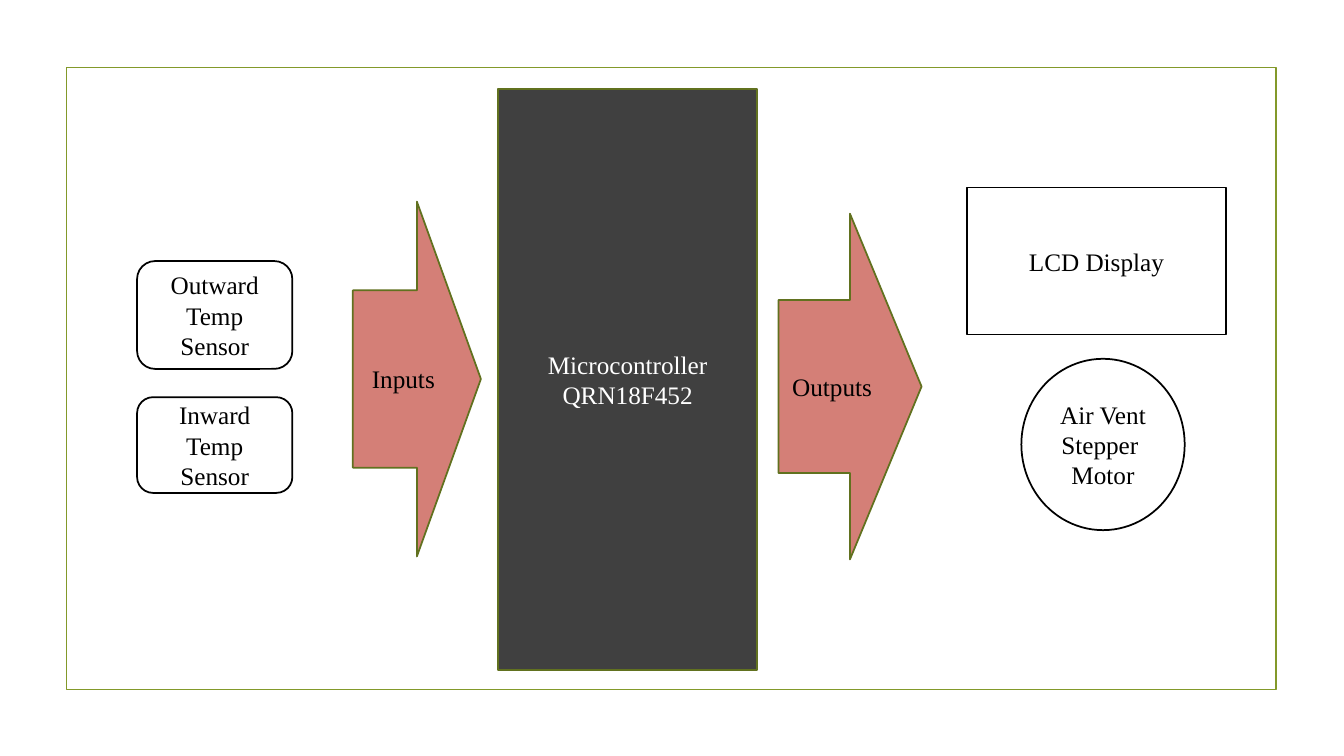
import pptx
import pptx.util
import pptx.dml.color
import pptx.enum.shapes
import pptx.enum.text

Inches = pptx.util.Inches
KIND = pptx.enum.shapes.MSO_SHAPE
ALIGN = pptx.enum.text.PP_ALIGN
MID = pptx.enum.text.MSO_ANCHOR.MIDDLE

COLORS = {"white": "FFFFFF", "black": "000000", "frame": "83992A",
          "edge": "61711F", "chip": "404040", "arrow": "D47F77"}
FONT, SIZE, LINE = "Times New Roman", 18, 1.25

# Looks: fill, line, text colour
LOOKS = {
    "frame": (None, "frame", "black"),
    "chip": ("chip", "edge", "white"),
    "part": ("white", "black", "black"),
    "flow": ("arrow", "edge", "black"),
}

# Blocks from back to front: shape, look, (left, top, width, height), text
BLOCKS = [
    (KIND.RECTANGLE, "frame", (0.66, 0.67, 12, 6.17), ""),
    (KIND.RECTANGLE, "chip", (4.94, 0.88, 2.57, 5.77),
     "Microcontroller\nQRN18F452"),
    (KIND.FLOWCHART_CONNECTOR, "part", (10.13, 3.56, 1.62, 1.7),
     "Air Vent Stepper \nMotor"),
    (KIND.ROUNDED_RECTANGLE, "part", (1.36, 2.59, 1.54, 1.07),
     "Outward Temp Sensor"),
    (KIND.ROUNDED_RECTANGLE, "part", (1.36, 3.94, 1.54, 0.95),
     "Inward Temp Sensor"),
    (KIND.RECTANGLE, "part", (9.59, 1.86, 2.57, 1.46), "LCD Display"),
    (KIND.RIGHT_ARROW, "flow", (3.5, 2, 1.27, 3.52), ""),
    (KIND.RIGHT_ARROW, "flow", (7.72, 2.12, 1.42, 3.43), "Outputs"),
]
LABEL = ((3.59, 3.56, 1.13, 0.4), "Inputs")


def color(name):
    return pptx.dml.color.RGBColor.from_string(COLORS[name])


def write(shape, text, ink, align):
    frame = shape.text_frame
    frame.word_wrap = True
    frame.text = text
    for para in frame.paragraphs:
        para.alignment = align
        for run in para.runs:
            run.font.name = FONT
            run.font.size = pptx.util.Pt(SIZE)
            run.font.color.rgb = color(ink)


def block(slide, kind, look, box, text):
    fill, line, ink = LOOKS[look]
    shape = slide.shapes.add_shape(kind, *map(Inches, box))
    shape.shadow.inherit = False
    if fill:
        shape.fill.solid()
        shape.fill.fore_color.rgb = color(fill)
    else:
        shape.fill.background()
    shape.line.color.rgb = color(line)
    shape.line.width = pptx.util.Pt(LINE)
    if text:
        shape.text_frame.vertical_anchor = MID
        write(shape, text, ink, ALIGN.CENTER)


def main():
    deck = pptx.Presentation()
    deck.slide_width, deck.slide_height = Inches(13.33), Inches(7.5)
    slide = deck.slides.add_slide(deck.slide_layouts[6])

    # Frame, parts and arrows
    for item in BLOCKS:
        block(slide, *item)

    # Label on the input arrow
    box, text = LABEL
    label = slide.shapes.add_textbox(*map(Inches, box))
    write(label, text, "black", ALIGN.LEFT)

    deck.save("out.pptx")


if __name__ == "__main__":
    main()
